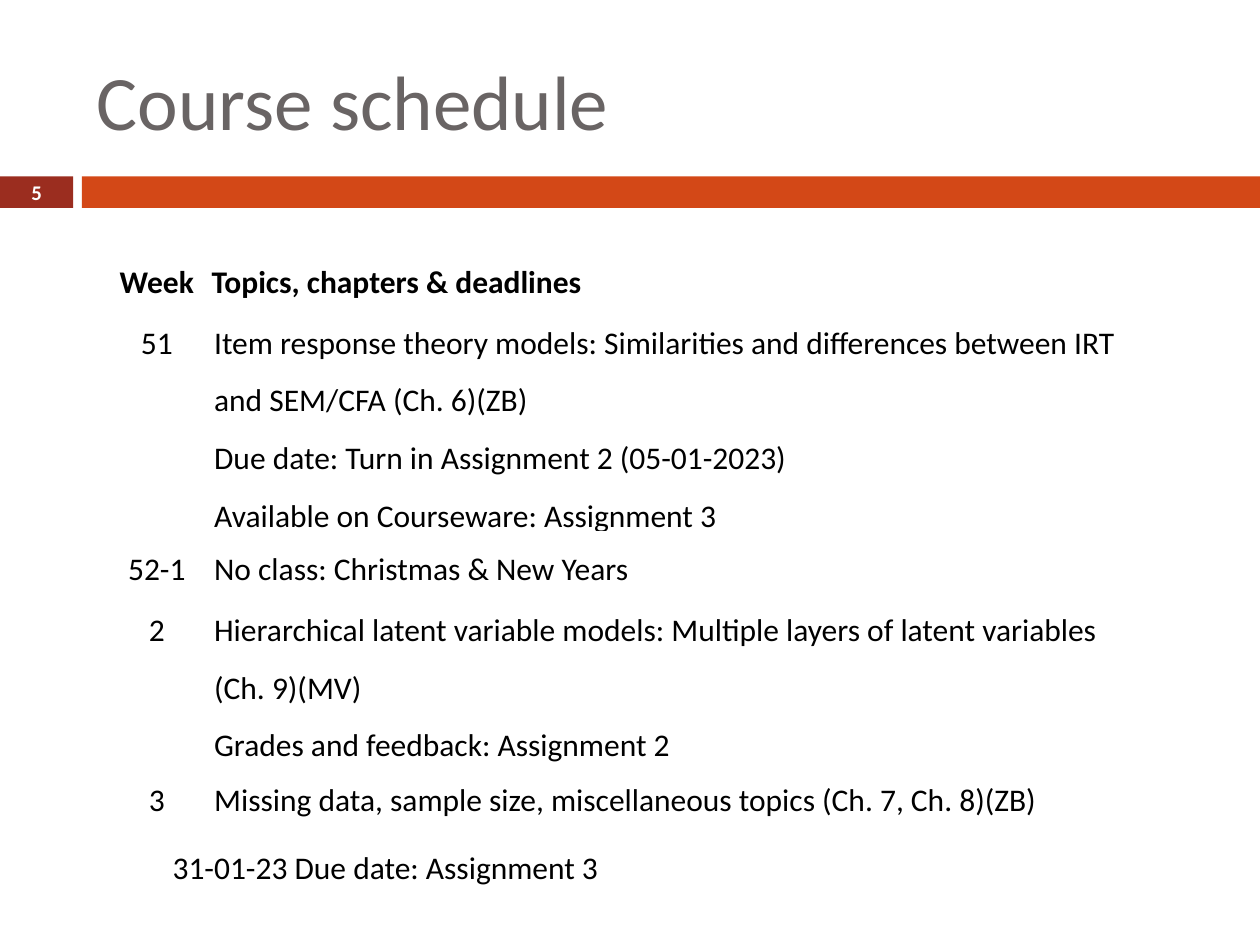
"""Build the course schedule slide."""
from dataclasses import dataclass

from pptx import Presentation
from pptx.dml.color import RGBColor as Color
from pptx.enum.shapes import MSO_SHAPE as Shape
from pptx.enum.text import MSO_ANCHOR as Anchor, PP_ALIGN as Align
from pptx.util import Inches, Pt


@dataclass(frozen=True)
class Theme:
    font: str = "Calibri"
    title_size: float = 44
    table_size: float = 18
    number_size: float = 11.9
    title: str = "696464"
    text: str = "000000"
    light: str = "FFFFFF"
    accent: str = "D34817"
    dark_accent: str = "9B2D1F"


@dataclass(frozen=True)
class Bar:
    left: float
    width: float
    color: str


@dataclass(frozen=True)
class Week:
    label: str
    topics: tuple[str, ...]
    height: float
    header: bool = False


THEME = Theme()
BARS = (Bar(0, 0.58, THEME.dark_accent), Bar(0.65, 9.35, THEME.accent))
COLUMN_WIDTHS = (0.83, 7.36)
WEEKS = (
    Week("Week", ("Topics, chapters & deadlines",), 0.48, header=True),
    Week("51", (
        "Item response theory models: Similarities and differences between IRT "
        "and SEM/CFA (Ch. 6)(ZB)",
        "Due date: Turn in Assignment 2 (05-01-2023)",
        "Available on Courseware: Assignment 3",
    ), 1.71),
    Week("52-1", ("No class: Christmas & New Years",), 0.48),
    Week("2", (
        "Hierarchical latent variable models: Multiple layers of latent "
        "variables (Ch. 9)(MV)",
        "Grades and feedback: Assignment 2",
    ), 0.92),
    Week("3", ("Missing data, sample size, miscellaneous topics (Ch. 7, Ch. 8)(ZB)",), 0.54),
)
FINAL_DEADLINE = "\t31-01-23 Due date: Assignment 3"
FINAL_HEIGHT = 0.48


def apply(target: object, values: dict) -> None:
    """Set each named attribute on the target."""
    for name, value in values.items():
        setattr(target, name, value)


def write(para, text: str, size: float, color: str, bold: bool = False, **layout) -> None:
    """Fill a paragraph with one formatted span."""
    apply(para, layout)
    span = para.add_run()
    span.text = text
    apply(span.font, {"name": THEME.font, "size": Pt(size), "bold": bold})
    span.font.color.rgb = Color.from_string(color)


def add_bar(page, bar: Bar) -> None:
    """Draw one part of the divider."""
    box = page.shapes.add_shape(
        Shape.RECTANGLE, Inches(bar.left), Inches(1.4), Inches(bar.width), Inches(0.25))
    box.shadow.inherit = False
    box.fill.solid()
    box.fill.fore_color.rgb = Color.from_string(bar.color)
    box.line.fill.background()


def add_label(page, text: str, place: tuple[float, ...], inset: float, **style) -> None:
    """Place one vertically centred line of text."""
    box = page.shapes.add_textbox(*map(Inches, place))
    apply(box.text_frame, {
        "word_wrap": True, "vertical_anchor": Anchor.MIDDLE,
        "margin_left": Inches(inset), "margin_right": Inches(inset),
        "margin_top": 0, "margin_bottom": 0,
    })
    write(box.text_frame.paragraphs[0], text, **style)


def fill_cell(cell, lines: tuple[str, ...], align: Align = Align.LEFT,
              header: bool = False) -> None:
    """Write the lines of one table cell."""
    inset = Inches(0.02 if header else 0.04)
    apply(cell, {"margin_left": inset, "margin_right": inset,
                 "margin_top": 0, "margin_bottom": 0})
    frame = cell.text_frame
    for index, line in enumerate(lines):
        para = frame.add_paragraph() if index else frame.paragraphs[0]
        write(para, line, THEME.table_size, THEME.text, header,
              alignment=align, line_spacing=1.5)


def add_schedule(page) -> None:
    """Draw the weeks and the final deadline as a table."""
    heights = [week.height for week in WEEKS] + [FINAL_HEIGHT]
    table = page.shapes.add_table(
        len(heights), len(COLUMN_WIDTHS), Inches(0.83), Inches(1.94),
        Inches(sum(COLUMN_WIDTHS)), Inches(sum(heights))).table
    apply(table, {"first_row": False, "horz_banding": False})
    for column, width in zip(table.columns, COLUMN_WIDTHS):
        column.width = Inches(width)
    for row, height in zip(table.rows, heights):
        row.height = Inches(height)
    for cell in table.iter_cells():
        cell.fill.background()
    for index, week in enumerate(WEEKS):
        fill_cell(table.cell(index, 0), (week.label,), Align.CENTER, week.header)
        fill_cell(table.cell(index, 1), week.topics, header=week.header)
    last = len(WEEKS)
    table.cell(last, 0).merge(table.cell(last, 1))
    fill_cell(table.cell(last, 0), (FINAL_DEADLINE,))


def main() -> None:
    """Build and save the deck."""
    deck = Presentation()
    apply(deck, {"slide_width": Inches(10), "slide_height": Inches(7.5)})
    page = deck.slides.add_slide(deck.slide_layouts[6])
    for bar in BARS:
        add_bar(page, bar)
    add_label(page, "Course schedule", (0.67, 0.25, 8.92, 1.08), 0.1,
              size=THEME.title_size, color=THEME.title)
    add_schedule(page)
    add_label(page, "5", (0, 1.39, 0.58, 0.27), 0, size=THEME.number_size,
              color=THEME.light, bold=True, alignment=Align.CENTER)
    deck.save("out.pptx")


if __name__ == "__main__":
    main()
